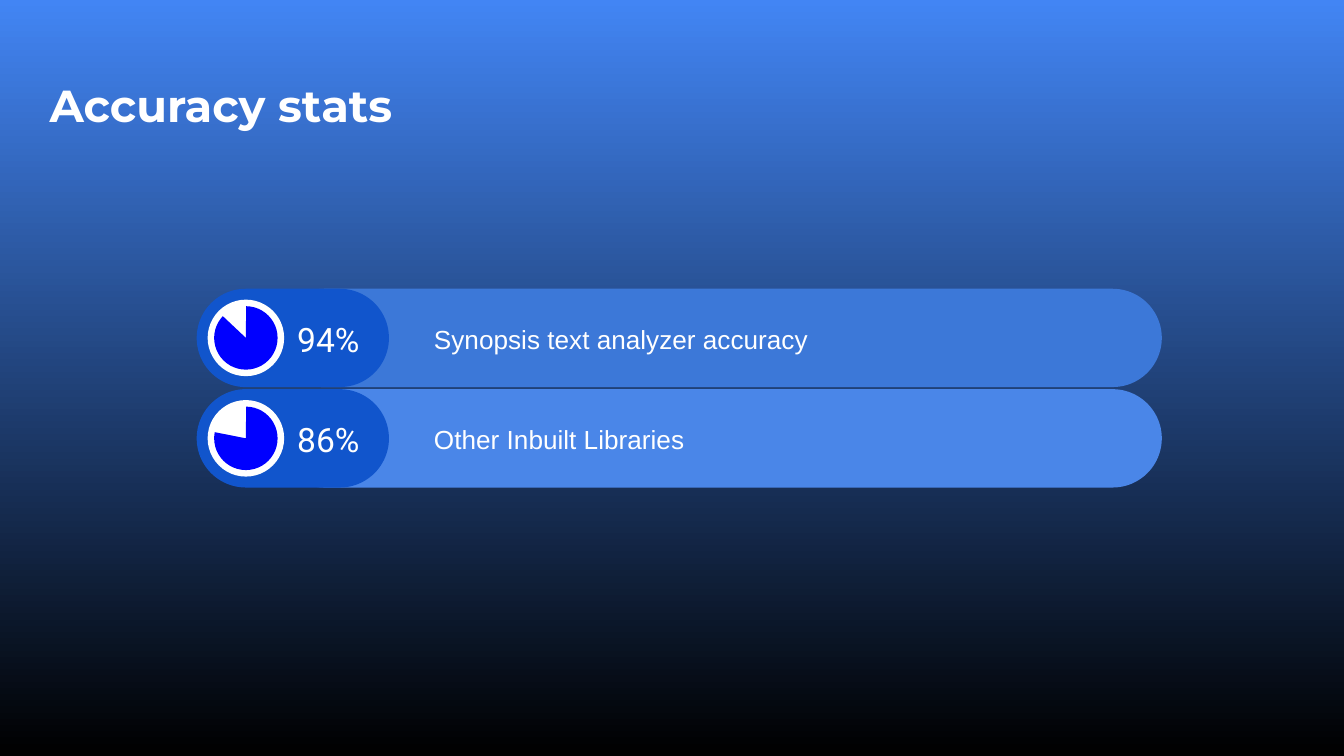
from pptx import Presentation
from pptx.dml.color import RGBColor
from pptx.enum.shapes import MSO_SHAPE
from pptx.enum.text import MSO_ANCHOR, MSO_AUTO_SIZE, PP_ALIGN
from pptx.util import Pt

WHITE = "FFFFFF"
DEEP = "1155CC"
ROW_H = 52.7
PITCH = 53.8
ROWS = [
    # share, label, label width, bar colour, angle where the pie ends
    ("94%", "Synopsis text analyzer accuracy", 367.2, "3C78D8", 223.4),
    ("86%", "Other Inbuilt Libraries", 330.5, "4A86E8", 191.17),
]


def tint(color, value):
    color.rgb = RGBColor.from_string(value)


def write(shape, text, anchor, **style):
    frame = shape.text_frame
    layout = dict(word_wrap=True, auto_size=MSO_AUTO_SIZE.NONE,
                  vertical_anchor=anchor, text=text)
    for side in ("left", "top", "right", "bottom"):
        layout["margin_" + side] = Pt(7.2)
    for key, value in layout.items():
        setattr(frame, key, value)
    line = frame.paragraphs[0]
    line.alignment = PP_ALIGN.LEFT
    for key, value in style.items():
        setattr(line.font, key, value)
    tint(line.font.color, WHITE)


def draw(shapes, kind, box, fill, adjust=()):
    """Add a plain filled shape without outline or shadow."""
    shape = shapes.add_shape(kind, *map(Pt, box))
    shape.shadow.inherit = False
    shape.fill.solid()
    tint(shape.fill.fore_color, fill)
    shape.line.fill.background()
    for index, value in enumerate(adjust):
        shape.adjustments[index] = value


def add_disc(shapes, x, y, size, kind, fill, adjust=()):
    """Add a round shape centred on x, y."""
    half = size / 2
    draw(shapes, kind, (x - half, y - half, size, size), fill, adjust)


def add_title(slide, box):
    title = slide.shapes.title
    for key, value in zip(("left", "top", "width", "height"), box):
        setattr(title, key, Pt(value))
    write(title, "Accuracy stats", MSO_ANCHOR.TOP,
          name="Montserrat", size=Pt(24), bold=True)


def add_row(slide, box, share, label, span, fill, end):
    left, top, width, height = box
    mid = height / 2
    parts = slide.shapes.add_group_shape().shapes
    pill = MSO_SHAPE.ROUNDED_RECTANGLE
    draw(parts, pill, (left + 42, top, width - 42, height), fill, [0.5])
    draw(parts, pill, (left, top, 103, height), DEEP, [0.5])
    add_disc(parts, left + mid, top + mid, 41, MSO_SHAPE.OVAL, WHITE)
    # Pie angles are in 1/60000 degree, adjustments in 1/100000
    add_disc(parts, left + mid, top + mid, 34, MSO_SHAPE.PIE, "0000FF",
             [270.4 * 0.6, end * 0.6])
    figure = parts.add_textbox(Pt(left + 46.7), Pt(top + 11.2), Pt(48.5), Pt(31))
    write(figure, share, MSO_ANCHOR.MIDDLE, name="Roboto", size=Pt(18))
    note = slide.shapes.add_textbox(Pt(left + 120), Pt(top + 11.2),
                                    Pt(span), Pt(31.7))
    write(note, label, MSO_ANCHOR.TOP, name="Arial", size=Pt(14))


def shade(slide):
    """Fill the background from blue at the top to black."""
    fill = slide.background.fill
    fill.gradient()
    fill.gradient_angle = 270
    for stop, value in zip(fill.gradient_stops, ("4285F4", "000000")):
        tint(stop.color, value)


def main():
    deck = Presentation()
    deck.slide_width, deck.slide_height = Pt(720), Pt(405)
    slide = deck.slides.add_slide(deck.slide_layouts[5])
    shade(slide)
    add_title(slide, (19.4, 34.6, 671, 45.4))
    for index, row in enumerate(ROWS):
        add_row(slide, (105.4, 154.7 + index * PITCH, 517, ROW_H), *row)
    deck.save("out.pptx")


if __name__ == "__main__":
    main()
